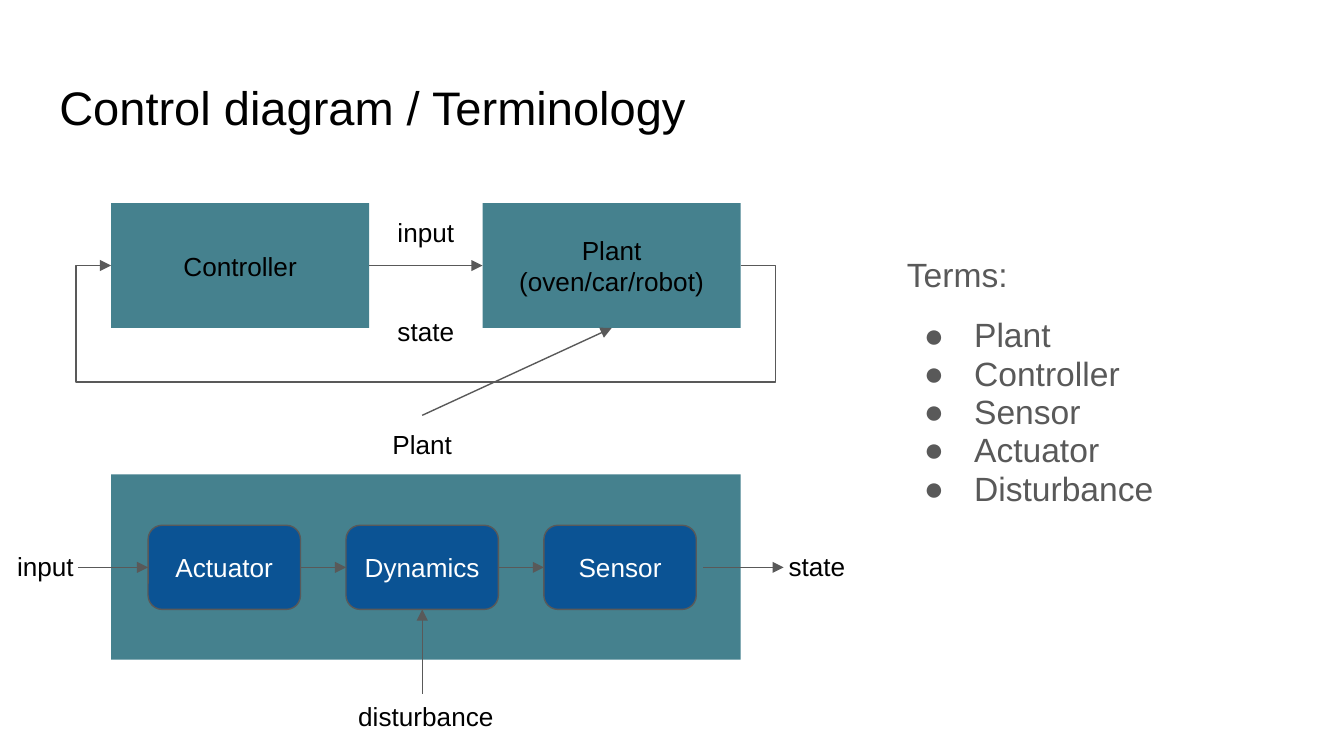
from lxml import etree
from pptx import Presentation
from pptx import util as u
from pptx.dml.color import RGBColor
from pptx.enum import shapes, text
from pptx.oxml.ns import qn

COLORS = {
    "teal": "45818E",
    "blue": "0B5394",
    "gray": "595959",
    "black": "000000",
    "white": "FFFFFF",
}
TOP, LEFT, BOTTOM, RIGHT = range(4)


def color(name):
    return RGBColor.from_string(COLORS[name])


def write(frame, content, size=14, ink="black", align=text.PP_ALIGN.CENTER,
          anchor=text.MSO_ANCHOR.TOP, spacing=None):
    frame.word_wrap = True
    frame.auto_size = text.MSO_AUTO_SIZE.NONE
    frame.vertical_anchor = anchor
    frame.margin_left = frame.margin_right = u.Cm(0.25)
    frame.margin_top = frame.margin_bottom = u.Cm(0.25)
    frame.text = content
    for paragraph in frame.paragraphs:
        paragraph.alignment = align
        paragraph.line_spacing = spacing
        paragraph.space_before = u.Pt(0)
        for run in paragraph.runs:
            run.font.name = "Arial"
            run.font.size = u.Pt(size)
            run.font.color.rgb = color(ink)


class Diagram:
    line_width = u.Pt(0.75)
    line_color = "gray"

    def __init__(self, slide):
        self.slide = slide

    def place(self, shape, left, top, width, height):
        shape.left, shape.top = u.Cm(left), u.Cm(top)
        shape.width, shape.height = u.Cm(width), u.Cm(height)

    def title(self, content, *bounds):
        shape = self.slide.shapes.title
        self.place(shape, *bounds)
        write(shape.text_frame, content, size=25.2, align=text.PP_ALIGN.LEFT)

    def terms(self, heading, items, *bounds):
        shape = self.slide.placeholders[1]
        self.place(shape, *bounds)
        write(shape.text_frame, "\n".join([heading, *items]), size=18, ink="gray",
              align=text.PP_ALIGN.LEFT, spacing=0.95)
        first, *bullets = shape.text_frame.paragraphs
        bullets[0].space_before = u.Pt(12)
        properties = first._p.get_or_add_pPr()
        properties.set("marL", "0")
        properties.set("indent", "0")
        etree.SubElement(properties, qn("a:buNone"))
        for paragraph in bullets:
            properties = paragraph._p.get_or_add_pPr()
            properties.set("marL", str(u.Cm(1.27)))
            properties.set("indent", str(-u.Cm(0.95)))
            fill = etree.SubElement(properties, qn("a:buClr"))
            etree.SubElement(fill, qn("a:srgbClr"), val=COLORS["gray"])
            etree.SubElement(properties, qn("a:buFont"), typeface="Arial")
            etree.SubElement(properties, qn("a:buChar"), char="●")

    def box(self, content, left, top, width, height, fill="teal", ink="black", rounded=False):
        kind = shapes.MSO_SHAPE.ROUNDED_RECTANGLE if rounded else shapes.MSO_SHAPE.RECTANGLE
        shape = self.slide.shapes.add_shape(
            kind, u.Cm(left), u.Cm(top), u.Cm(width), u.Cm(height))
        shape.shadow.inherit = False
        shape.fill.solid()
        shape.fill.fore_color.rgb = color(fill)
        if rounded:
            shape.adjustments[0] = 0.167
            self.stroke(shape.line)
        else:
            shape.line.fill.background()
        write(shape.text_frame, content, ink=ink, anchor=text.MSO_ANCHOR.MIDDLE)
        return shape

    def label(self, content, center, top, width=2.13):
        shape = self.slide.shapes.add_textbox(
            u.Cm(center - width / 2), u.Cm(top), u.Cm(width), u.Cm(1.12))
        write(shape.text_frame, content)

    def stroke(self, line, arrow=False):
        line.width = self.line_width
        line.color.rgb = color(self.line_color)
        if arrow:
            etree.SubElement(line._get_or_add_ln(), qn("a:tailEnd"), type="triangle")

    def arrow(self, start, end, source=None, target=None):
        connector = self.slide.shapes.add_connector(
            shapes.MSO_CONNECTOR.STRAIGHT, *(u.Cm(value) for value in (*start, *end)))
        if source:
            connector.begin_connect(*source)
        if target:
            connector.end_connect(*target)
        self.stroke(connector.line, arrow=True)
        etree.SubElement(connector._element.spPr, qn("a:effectLst"))

    def path_arrow(self, points):
        start, *rest = [(u.Cm(x), u.Cm(y)) for x, y in points]
        builder = self.slide.shapes.build_freeform(*start)
        builder.add_line_segments(rest, close=False)
        shape = builder.convert_to_shape()
        shape.shadow.inherit = False
        shape.fill.background()
        self.stroke(shape.line, arrow=True)


def main():
    presentation = Presentation()
    presentation.slide_width, presentation.slide_height = u.Cm(25.4), u.Cm(14.29)
    diagram = Diagram(presentation.slides.add_slide(presentation.slide_layouts[1]))
    diagram.title("Control diagram / Terminology", 0.87, 1.24, 23.67, 1.6)
    diagram.terms("Terms:", ["Plant", "Controller", "Sensor", "Actuator", "Disturbance"],
                  16.89, 4.6, 7.65, 5.56)

    left, right = 2.1, 14
    width, height, loop_top = 4.88, 2.36, 3.84
    loop_middle = loop_top + height / 2
    plant_left, controller_right = right - width, left + width
    plant = diagram.box("Plant\n(oven/car/robot)", plant_left, loop_top, width, height)
    controller = diagram.box("Controller", left, loop_top, width, height)
    diagram.arrow((controller_right, loop_middle), (plant_left, loop_middle),
                  (controller, RIGHT), (plant, LEFT))
    margin, loop_bottom = 0.66, 7.22
    diagram.path_arrow([
        (right, loop_middle), (right + margin, loop_middle), (right + margin, loop_bottom),
        (left - margin, loop_bottom), (left - margin, loop_middle), (left, loop_middle)])
    center = (left + right) / 2
    diagram.label("state", center, 5.72)
    diagram.label("input", center, loop_top)

    diagram.box("", left, 8.97, right - left, 3.5)
    stage_left, stage_top, stage_width, stage_height, pitch = 2.8, 9.93, 2.88, 1.59, 3.74
    stage_middle = stage_top + stage_height / 2
    stages = [
        diagram.box(name, stage_left + index * pitch, stage_top, stage_width, stage_height,
                    fill="blue", ink="white", rounded=True)
        for index, name in enumerate(["Actuator", "Dynamics", "Sensor"])]
    for index, (source, target) in enumerate(zip(stages, stages[1:])):
        start = stage_left + index * pitch + stage_width
        diagram.arrow((start, stage_middle), (stage_left + (index + 1) * pitch, stage_middle),
                      (source, RIGHT), (target, LEFT))
    diagram.arrow((1.48, stage_middle), (stage_left, stage_middle), target=(stages[0], LEFT))
    diagram.arrow((13.29, stage_middle), (14.81, stage_middle))
    dynamics_center = stage_left + pitch + stage_width / 2
    diagram.arrow((dynamics_center, 13.11), (dynamics_center, stage_top + stage_height),
                  target=(stages[1], BOTTOM))
    diagram.arrow((dynamics_center, 7.85), (plant_left + width / 2, loop_top + height),
                  target=(plant, BOTTOM))
    diagram.label("Plant", dynamics_center, 7.85, width=4.47)
    diagram.label("input", 0.86, 10.16)
    diagram.label("state", 15.44, 10.16)
    diagram.label("disturbance", center, 12.98, width=3.4)
    presentation.save("out.pptx")


if __name__ == "__main__":
    main()
